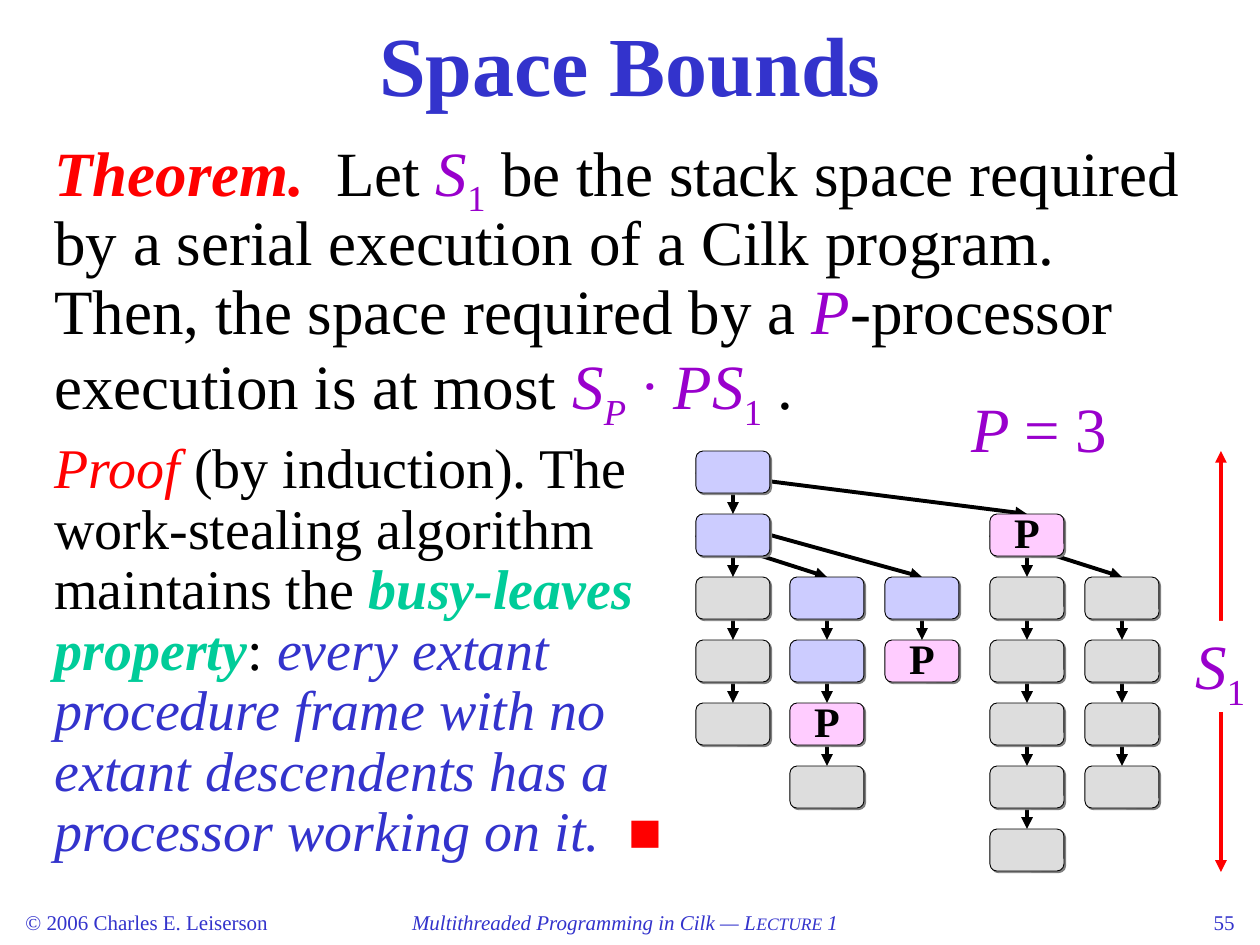
from typing import NamedTuple, Optional

from lxml.etree import SubElement
from pptx import Presentation
from pptx.dml.color import RGBColor
from pptx.enum.shapes import MSO_CONNECTOR, MSO_SHAPE
from pptx.enum.text import MSO_ANCHOR, PP_ALIGN
from pptx.oxml.ns import qn
from pptx.util import Emu, Pt

COLORS = {
    "blue": "3333CC", "red": "FF0000", "black": "000000", "purple": "9900CC",
    "green": "00CC99", "white": "FFFFFF", "shadow": "808080",
    "active": "CCCCFF", "working": "FFCCFF", "idle": "DDDDDD",
}
FONT = "Times New Roman"
EMU_PER_INCH, PX_PER_INCH = 914400, 126
FRAME_WIDTH, FRAME_HEIGHT = 74, 42
TREE_TOP, ROW_STEP = 451, 63
KINDS = {"A": "active", "W": "working", "I": "idle"}
STACKS = [(696, 0, "AAIII"), (790, 2, "AAWI"), (885, 2, "AW"),
          (990, 1, "WIIIII"), (1085, 2, "IIII")]
TOP, LEFT, BOTTOM, RIGHT = range(4)
FORKS = [((0, 0), LEFT, (3, 1)), ((0, 1), LEFT, (1, 2)),
         ((0, 1), RIGHT, (2, 2)), ((3, 1), LEFT, (4, 2))]


class Span(NamedTuple):
    """A run of text; style letters are b (bold), i (italic), s (subscript)."""
    text: str
    color: str = "black"
    style: str = ""
    size: Optional[int] = None
    font: Optional[str] = None


THEOREM = [
    Span("Theorem.", "red", "bi"), Span("  Let "), Span("S", "purple", "i"),
    Span("1", "purple", "s"),
    Span(" be the stack space required by a serial execution of a Cilk program.  "
         "Then, the space required by a "),
    Span("P", "purple", "i"), Span("-processor execution is at most "),
    Span("S", "purple", "i"), Span("P", "purple", "is"),
    Span(" · ", "purple", font="Roboto"), Span("PS", "purple", "i"),
    Span("1", "purple", "s"), Span(" ."),
]
PROOF = [
    Span("Proof", "red", "i"),
    Span(" (by induction). The work-stealing algorithm maintains the "),
    Span("busy-leaves property", "green", "bi"), Span(": "),
    Span("every extant procedure frame with no extant descendents has a "
         "processor working on it.  ", "blue", "i"),
    Span("■", "red"),
]
LECTURE = [
    Span("Multithreaded Programming in Cilk — L", "blue", "i"),
    Span("ECTURE", "blue", "i", size=10), Span(" 1", "blue", "i"),
]


def px(length):
    """Turn pixels into EMU."""
    return Emu(round(length * EMU_PER_INCH / PX_PER_INCH))


def rgb(name):
    """Look up a named colour."""
    return RGBColor.from_string(COLORS[name])


def write(box, spans, size, align=PP_ALIGN.LEFT, spacing=None, wrap=True):
    """Fill the box with one paragraph of styled spans."""
    box.text_frame.word_wrap = wrap
    paragraph = box.text_frame.paragraphs[0]
    paragraph.alignment = align
    paragraph.line_spacing = spacing
    paragraph.font.size = Pt(size)
    paragraph.font.name = FONT
    for span in spans:
        run = paragraph.add_run()
        run.text = span.text
        run.font.color.rgb = rgb(span.color)
        run.font.bold = "b" in span.style
        run.font.italic = "i" in span.style
        if span.size:
            run.font.size = Pt(span.size)
        if span.font:
            run.font.name = span.font
        if "s" in span.style:
            run._r.get_or_add_rPr().set("baseline", "-25000")


def add_text(page, left, top, width, height, spans, size, **layout):
    """Add a text box holding one paragraph."""
    box = page.shapes.add_textbox(px(left), px(top), px(width), px(height))
    write(box, spans, size, **layout)
    return box


def add_frame(page, left, top, kind):
    """Add a procedure frame with its drop shadow."""
    frame = page.shapes.add_shape(MSO_SHAPE.ROUNDED_RECTANGLE, px(left), px(top),
                                  px(FRAME_WIDTH), px(FRAME_HEIGHT))
    frame.fill.solid()
    frame.fill.fore_color.rgb = rgb(kind)
    frame.line.color.rgb = rgb("black")
    frame.line.width = Pt(0.5)
    frame.shadow.inherit = False
    effects = frame.element.spPr.find(qn("a:effectLst"))
    shadow = SubElement(effects, qn("a:outerShdw"), dist=str(Pt(1.4)),
                        dir="2700000", algn="ctr", rotWithShape="0")
    SubElement(shadow, qn("a:srgbClr"), val=COLORS["shadow"])
    if kind == "working":
        frame.text_frame.vertical_anchor = MSO_ANCHOR.MIDDLE
        write(frame, [Span("P", style="b")], 24, align=PP_ALIGN.CENTER,
              spacing=0.9, wrap=False)
    return frame


def add_arrow(page, start, end, color, ends=("tailEnd",)):
    """Add a straight line with triangular heads at the given ends."""
    arrow = page.shapes.add_connector(MSO_CONNECTOR.STRAIGHT,
                                      *map(px, start + end))
    arrow.line.color.rgb = rgb(color)
    arrow.line.width = Pt(2.25)
    for name in ends:
        SubElement(arrow.line._get_or_add_ln(), qn(f"a:{name}"), type="triangle")
    SubElement(arrow.element.spPr, qn("a:effectLst"))
    return arrow


def link_frames(page, parent, side, child):
    """Join two frames with an arrow that lies behind all frames."""
    arrow = add_arrow(page, (0, 0), (0, 0), "black")
    arrow.begin_connect(parent, side)
    arrow.end_connect(child, TOP)
    page.shapes.element.insert(2, arrow.element)


def add_tree(page):
    """Add the stacks of frames and the arrows between them."""
    frames = {}
    for column, (left, first_row, kinds) in enumerate(STACKS):
        for row, kind in enumerate(kinds, first_row):
            frames[column, row] = add_frame(
                page, left, TREE_TOP + row * ROW_STEP, KINDS[kind])
    for (column, row), frame in frames.items():
        if (column, row + 1) in frames:
            link_frames(page, frame, BOTTOM, frames[column, row + 1])
    for parent, side, child in FORKS:
        link_frames(page, frames[parent], side, frames[child])


def add_depth_measure(page):
    """Add the double arrow that marks the serial stack space."""
    add_arrow(page, (1221, 451), (1221, 872), "red", ("headEnd", "tailEnd"))
    label = add_text(page, 1183, 621, 74, 91,
                     [Span("S", "purple", "i"), Span("1", "purple", "s")],
                     36, spacing=0.9)
    label.text_frame.margin_right = 0
    label.text_frame.vertical_anchor = MSO_ANCHOR.MIDDLE
    label.fill.solid()
    label.fill.fore_color.rgb = rgb("white")


def main():
    """Build and save the slide."""
    deck = Presentation()
    deck.slide_width, deck.slide_height = px(1260), px(945)
    page = deck.slides.add_slide(deck.slide_layouts[6])
    title = add_text(page, 0, 0, 1260, 126, [Span("Space Bounds", "blue", "b")],
                     48, align=PP_ALIGN.CENTER)
    title.text_frame.vertical_anchor = MSO_ANCHOR.MIDDLE
    add_text(page, 42, 128, 1166, 304, THEOREM, 36, spacing=0.9)
    add_text(page, 42, 434, 638, 436, PROOF, 32, spacing=0.9)
    add_tree(page)
    add_depth_measure(page)
    add_text(page, 959, 392, 162, 81,
             [Span("P ", "purple", "i"), Span("= 3", "purple")],
             36, spacing=0.9, wrap=False)
    add_text(page, 13, 903, 305, 42,
             [Span("© 2006 Charles E. Leiserson", "blue")], 12)
    add_text(page, 331, 903, 588, 42, LECTURE, 12, align=PP_ALIGN.CENTER)
    add_text(page, 932, 903, 315, 42, [Span("55", "blue")], 12,
             align=PP_ALIGN.RIGHT)
    deck.save("out.pptx")


if __name__ == "__main__":
    main()
